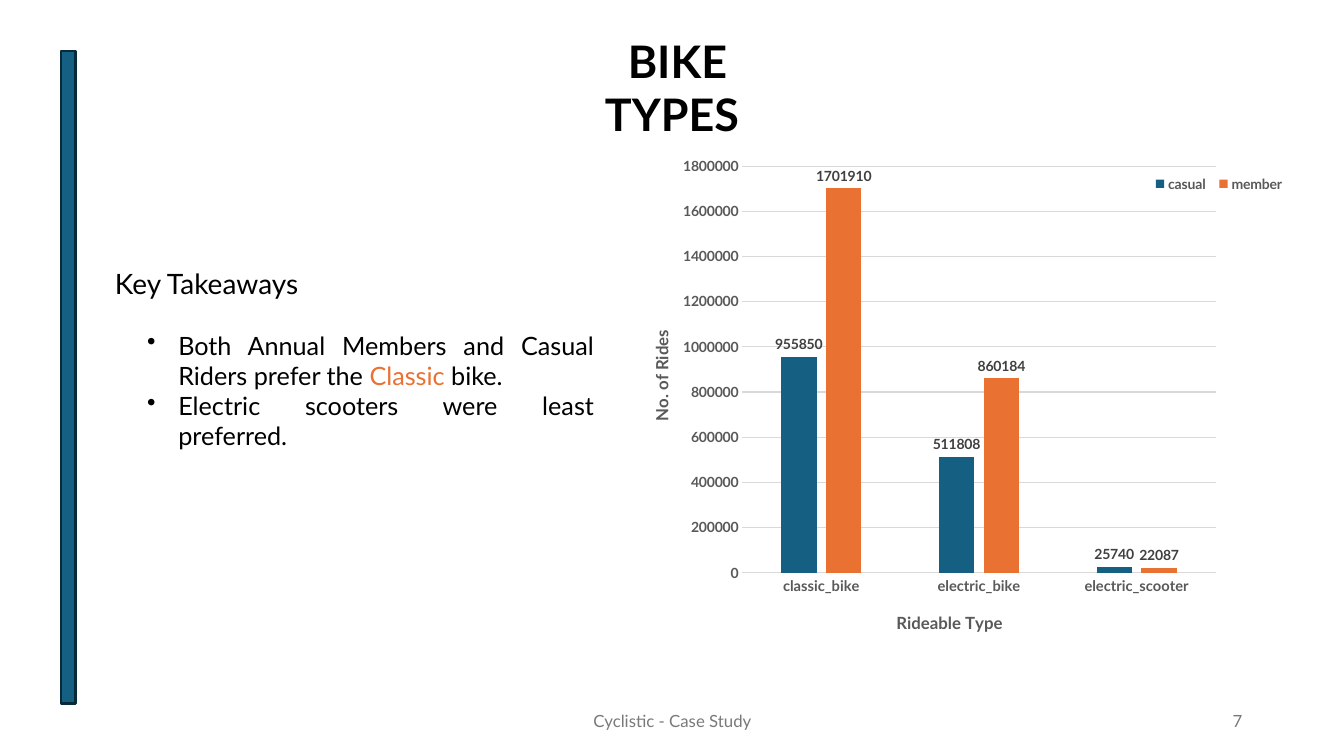
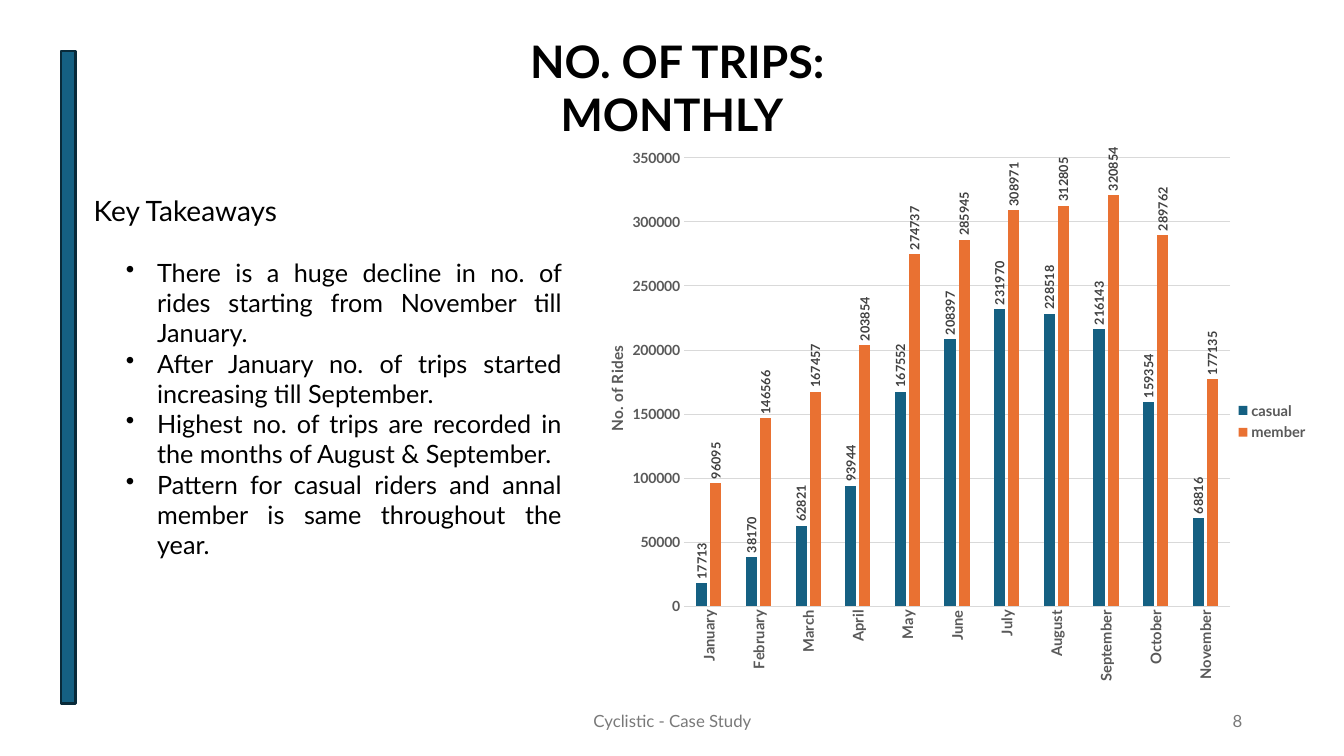
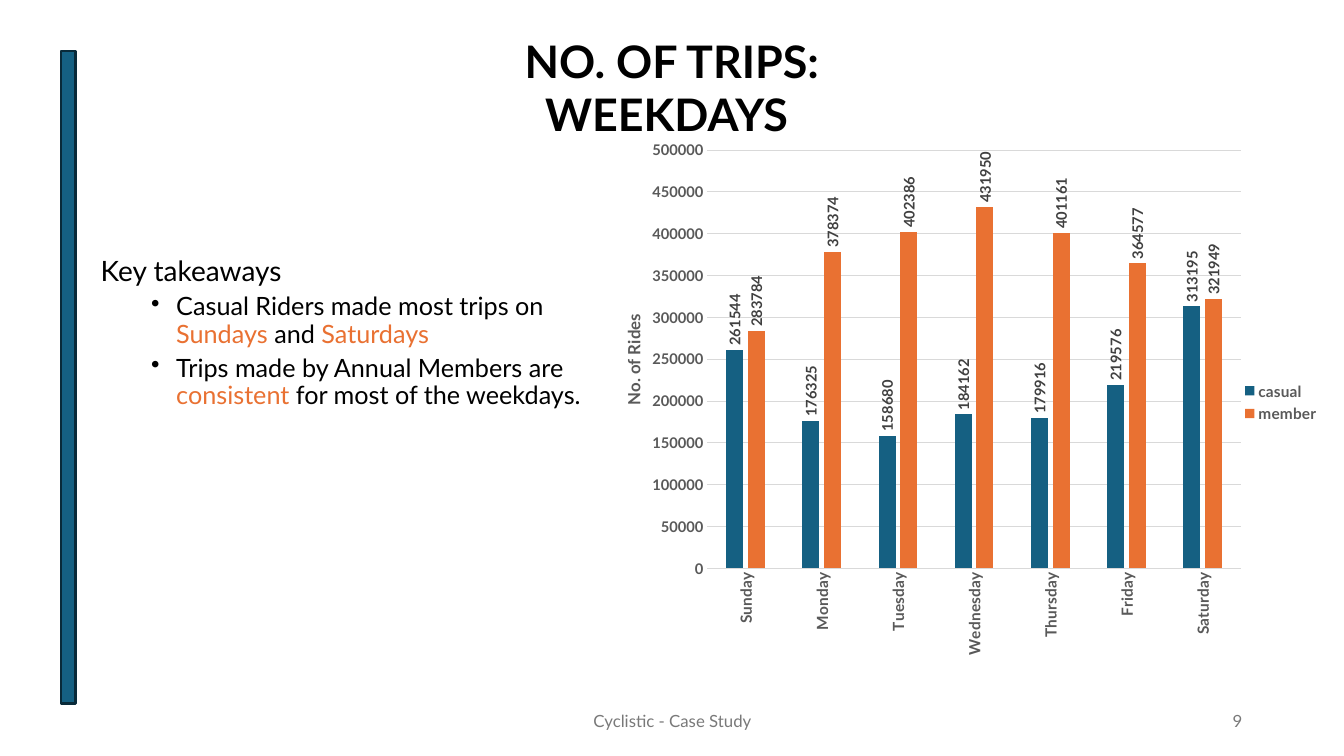
"""Build the three ride-analysis slides of the Cyclistic case study."""
from dataclasses import dataclass

from pptx import Presentation
from pptx.chart.data import CategoryChartData
from pptx.dml.color import RGBColor
from pptx.enum.chart import XL_CHART_TYPE, XL_LABEL_POSITION, XL_LEGEND_POSITION, XL_TICK_MARK
from pptx.enum.shapes import MSO_SHAPE
from pptx.enum.text import MSO_ANCHOR as Anchor, MSO_AUTO_SIZE as AutoSize, PP_ALIGN as Align
from pptx.oxml.ns import qn
from pptx.oxml.xmlchemy import OxmlElement
from pptx.util import Inches, Pt

UPRIGHT = "-5400000"


@dataclass(frozen=True)
class Theme:
    font: str = "Lato"
    black: str = "000000"
    blue: str = "156082"
    navy: str = "092A39"
    orange: str = "E97132"
    footer_grey: str = "797979"
    axis_grey: str = "595959"
    label_grey: str = "404040"
    grid_grey: str = "D9D9D9"
    title_size: float = 32
    heading_size: float = 20
    body_size: float = 18
    footer_size: float = 12


THEME = Theme()


@dataclass(frozen=True)
class ChartSizes:
    category: float
    value: float
    axis_title: float
    legend: float
    label: float


def assign(target, values):
    for name, value in values.items():
        setattr(target, name, value)


def style_font(font, size, color, bold=False):
    assign(font, {"name": THEME.font, "size": Pt(size), "bold": bold})
    font.color.rgb = RGBColor.from_string(color)


def style_line(line, color, width):
    line.color.rgb = RGBColor.from_string(color)
    line.width = Pt(width)


def turn_upright(element):
    element.find(qn("c:txPr")).find(qn("a:bodyPr")).set("rot", UPRIGHT)


def place(element, index, target=None, **fractions):
    for previous in element.findall(qn("c:layout")):
        element.remove(previous)
    layout = OxmlElement("c:layout")
    manual = OxmlElement("c:manualLayout")
    layout.append(manual)
    settings = {"layoutTarget": target} if target else {}
    settings.update(xMode="edge", yMode="edge", **fractions)
    for name, value in settings.items():
        setting = OxmlElement(f"c:{name}")
        setting.set("val", str(value))
        manual.append(setting)
    element.insert(index, layout)


class Deck:
    def __init__(self):
        self.presentation = Presentation()
        assign(self.presentation, {"slide_width": Inches(13.33), "slide_height": Inches(7.5)})
        self.slide = None

    def start(self, title, title_width, number):
        self.slide = self.presentation.slides.add_slide(self.presentation.slide_layouts[5])
        self.title(title, title_width)
        self.side_bar()
        self.footer(4.42, 4.5, "Cyclistic - Case Study", Align.CENTER)
        self.footer(9.42, 3, str(number), Align.RIGHT)

    def title(self, text, width):
        shape = self.slide.shapes.title
        assign(shape, {"left": Inches((13.33 - width) / 2), "top": Inches(0.28),
                       "width": Inches(width), "height": Inches(1.17)})
        frame = shape.text_frame
        frame.text = text
        assign(frame, {"word_wrap": True, "auto_size": AutoSize.NONE,
                       "vertical_anchor": Anchor.TOP})
        paragraph = frame.paragraphs[0]
        paragraph.alignment = Align.CENTER
        style_font(paragraph.runs[0].font, THEME.title_size, THEME.black, True)

    def side_bar(self):
        bar = self.slide.shapes.add_shape(
            MSO_SHAPE.RECTANGLE, Inches(0.61), Inches(0.51), Inches(0.14), Inches(6.47))
        bar.shadow.inherit = False
        bar.fill.solid()
        bar.fill.fore_color.rgb = RGBColor.from_string(THEME.blue)
        style_line(bar.line, THEME.navy, 1.5)

    def text_box(self, left, top, width, height, anchor=Anchor.TOP):
        shape = self.slide.shapes.add_textbox(
            Inches(left), Inches(top), Inches(width), Inches(height))
        assign(shape.text_frame, {"word_wrap": True, "vertical_anchor": anchor})
        return shape.text_frame

    def footer(self, left, width, text, alignment):
        paragraph = self.text_box(left, 6.95, width, 0.4, Anchor.MIDDLE).paragraphs[0]
        paragraph.alignment = alignment
        self.runs(paragraph, text, THEME.footer_size, THEME.footer_grey)

    def runs(self, paragraph, text, size, color):
        for index, part in enumerate(text.split("*")):
            if part:
                run = paragraph.add_run()
                run.text = part
                style_font(run.font, size, THEME.orange if index % 2 else color)

    def takeaways(self, box, heading, bullets, heading_format, bullet_format,
                  margin=0.63, hanging=0.31):
        frame = self.text_box(*box)
        first = frame.paragraphs[0]
        assign(first, heading_format)
        self.runs(first, heading, THEME.heading_size, THEME.black)
        for text in bullets:
            paragraph = frame.add_paragraph()
            assign(paragraph, {"level": 1, **bullet_format})
            properties = paragraph._p.get_or_add_pPr()
            properties.set("marL", str(Inches(margin)))
            properties.set("indent", str(-Inches(hanging)))
            bullet = OxmlElement("a:buChar")
            bullet.set("char", "•")
            properties.append(bullet)
            self.runs(paragraph, text, THEME.body_size, THEME.black)

    def chart(self, box, categories, casual, member, sizes, plot_area, upright=True):
        data = CategoryChartData()
        data.categories = categories
        data.add_series("casual", casual)
        data.add_series("member", member)
        chart = self.slide.shapes.add_chart(
            XL_CHART_TYPE.COLUMN_CLUSTERED, *map(Inches, box), data).chart
        assign(chart, {"has_title": False, "has_legend": True})
        style_font(chart.font, 10, THEME.black)
        assign(chart.legend, {"position": XL_LEGEND_POSITION.RIGHT, "include_in_layout": False})
        style_font(chart.legend.font, sizes.legend, THEME.axis_grey, True)
        plot = chart.plots[0]
        assign(plot, {"gap_width": 219, "overlap": -27, "vary_by_categories": False})
        for series, color in zip(plot.series, (THEME.blue, THEME.orange)):
            series.format.fill.solid()
            series.format.fill.fore_color.rgb = RGBColor.from_string(color)
            labels = series.data_labels
            assign(labels, {"show_value": True, "position": XL_LABEL_POSITION.OUTSIDE_END})
            style_font(labels.font, sizes.label, THEME.label_grey, True)
            if upright:
                turn_upright(labels._element)
        self.axes(chart, sizes, upright)
        area = chart._chartSpace.chart.plotArea
        place(area, 0, "inner", **dict(zip("xywh", plot_area)))
        return chart

    def axes(self, chart, sizes, upright):
        category, value = chart.category_axis, chart.value_axis
        for axis, size in ((category, sizes.category), (value, sizes.value)):
            assign(axis, {"major_tick_mark": XL_TICK_MARK.NONE,
                          "minor_tick_mark": XL_TICK_MARK.NONE})
            style_font(axis.tick_labels.font, size, THEME.axis_grey, True)
        if upright:
            turn_upright(category._element)
        style_line(category.format.line, THEME.grid_grey, 0.75)
        value.format.line.fill.background()
        value.has_major_gridlines = True
        style_line(value.major_gridlines.format.line, THEME.grid_grey, 0.75)

    def axis_title(self, axis, text, size, x, y, rotation="0"):
        frame = axis.axis_title.text_frame
        frame.text = text
        style_font(frame.paragraphs[0].runs[0].font, size, THEME.axis_grey, True)
        frame._txBody.find(qn("a:bodyPr")).set("rot", rotation)
        place(axis.axis_title._element, 1, x=x, y=y)

    def rides_title(self, chart, sizes, x, y):
        self.axis_title(chart.value_axis, "No. of Rides", sizes.axis_title, x, y, UPRIGHT)


def main():
    deck = Deck()
    justified = {"alignment": Align.JUSTIFY}
    spaced_heading = {**justified, "space_after": Pt(21.6)}

    deck.start(" BIKE TYPES", 2.6, 7)
    sizes = ChartSizes(category=10.5, value=10, axis_title=12, legend=10, label=10)
    chart = deck.chart(
        (6.14, 1.45, 6.8, 4.98), ("classic_bike", "electric_bike", "electric_scooter"),
        (955850, 511808, 25740), (1701910, 860184, 22087),
        sizes, (0.18, 0.04, 0.69, 0.81), upright=False)
    deck.rides_title(chart, sizes, 0.04, 0.36)
    deck.axis_title(chart.category_axis, "Rideable Type", sizes.axis_title, 0.4, 0.92)
    place(chart.legend._element, 1, x=0.77, y=0.04, w=0.21, h=0.07)
    deck.takeaways(
        (1.04, 2.59, 4.95, 1.95), "Key Takeaways",
        ("Both Annual Members and Casual Riders prefer the *Classic* bike.",
         "Electric scooters were least preferred."),
        spaced_heading, justified)

    deck.start(" NO. OF TRIPS: MONTHLY", 5.2, 8)
    sizes = ChartSizes(category=10.5, value=10, axis_title=11, legend=10.5, label=9)
    chart = deck.chart(
        (5.76, 1.4, 7.32, 5.56),
        ("January", "February", "March", "April", "May", "June", "July", "August",
         "September", "October", "November"),
        (17713, 38170, 62821, 93944, 167552, 208397, 231970, 228518, 216143, 159354, 68816),
        (96095, 146566, 167457, 203854, 274737, 285945, 308971, 312805, 320854, 289762, 177135),
        sizes, (0.14, 0.03, 0.74, 0.8))
    deck.rides_title(chart, sizes, 0.03, 0.36)
    deck.takeaways(
        (0.83, 1.87, 4.84, 3.47), "Key Takeaways",
        ("There is a huge decline in no. of rides starting from November till January.",
         "After January no. of trips started increasing till September.",
         "Highest no. of trips are recorded in the months of August & September.",
         "Pattern for casual riders and annal member is same throughout the year."),
        spaced_heading, justified)

    deck.start("NO. OF TRIPS: WEEKDAYS ", 5.5, 9)
    sizes = ChartSizes(category=11, value=10.5, axis_title=12, legend=11, label=10.5)
    chart = deck.chart(
        (5.84, 1.33, 7.35, 5.32),
        ("Sunday", "Monday", "Tuesday", "Wednesday", "Thursday", "Friday", "Saturday"),
        (261544, 176325, 158680, 184162, 179916, 219576, 313195),
        (283784, 378374, 402386, 431950, 401161, 364577, 321949),
        sizes, (0.16, 0.03, 0.72, 0.78))
    deck.rides_title(chart, sizes, 0.04, 0.33)
    deck.takeaways(
        (0.9, 2.5, 5.4, 1.8), "Key takeaways",
        ("Casual Riders made most trips on *Sundays* and *Saturdays*",
         "Trips made by Annual Members are *consistent* for most of the weekdays."),
        {"line_spacing": 0.9, "space_before": Pt(10)},
        {"line_spacing": 0.9, "space_before": Pt(5)}, margin=0.75, hanging=0.25)

    deck.presentation.save("out.pptx")


if __name__ == "__main__":
    main()
